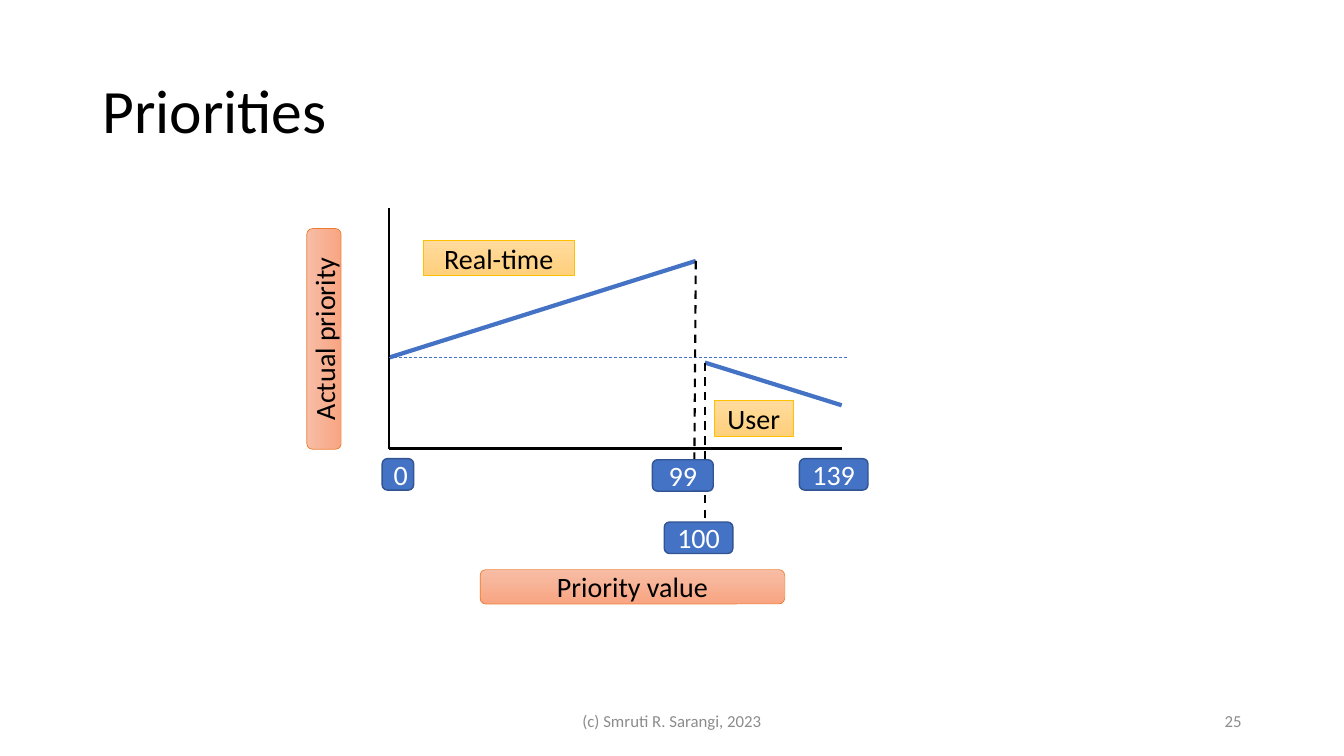
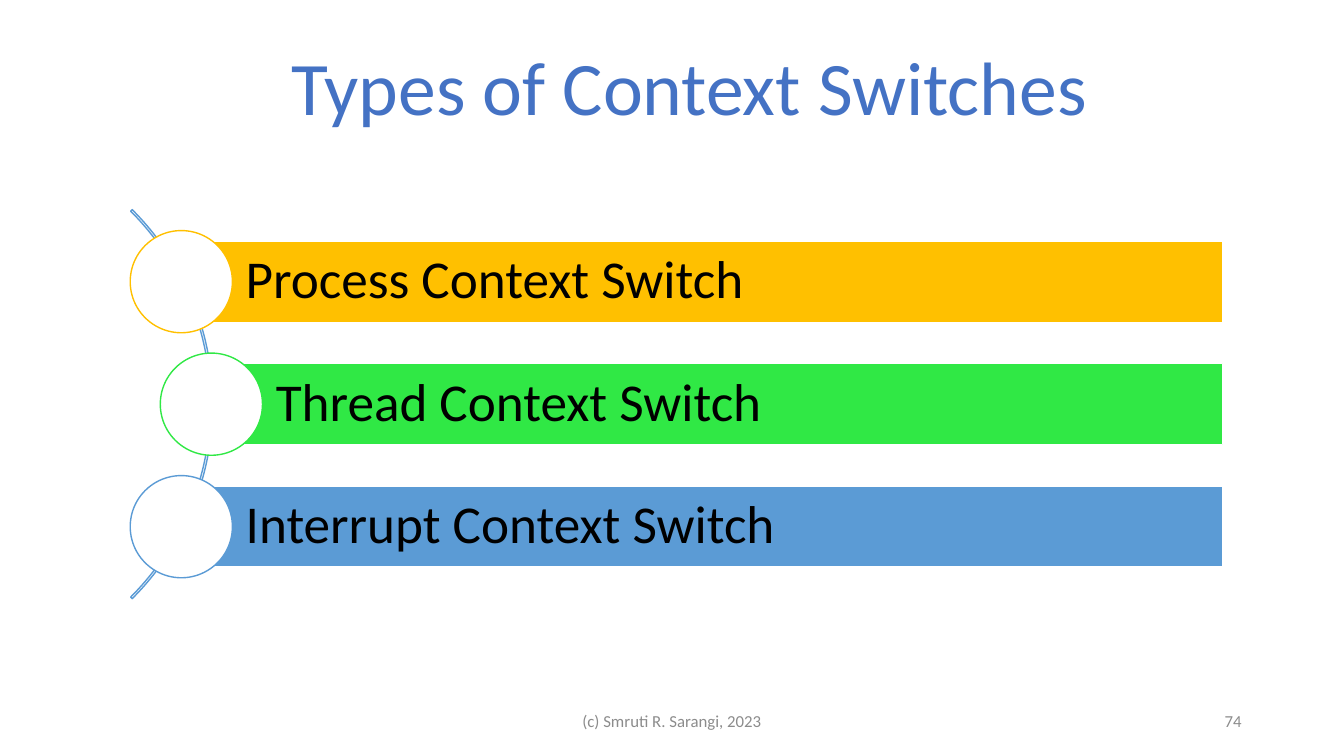
from lxml import etree
from pptx import Presentation
from pptx.dml.color import RGBColor
from pptx.enum import dml, shapes, text
from pptx.oxml import ns
from pptx.util import Pt

INK = {
    "black": "000000", "white": "FFFFFF", "gray": "8C8C8C",
    "blue": "4472C4", "navy": "325491", "sky": "5B9BD5",
    "gold": "FFC000", "green": "30E845", "orange": "ED7D31",
    "sand": "FFDB9E", "amber": "FFD07C",
    "peach": "F7BDA5", "coral": "F8A582",
}
FONT = "Calibri"
FOOTER = "(c) Smruti R. Sarangi, 2023"
SHAPE = shapes.MSO_SHAPE
LEFT, CENTER, RIGHT = (text.PP_ALIGN.LEFT, text.PP_ALIGN.CENTER,
                       text.PP_ALIGN.RIGHT)
LABELS = {
    "tick": (SHAPE.ROUNDED_RECTANGLE, ["blue"], "navy", 1, "white"),
    "class": (SHAPE.RECTANGLE, ["sand", "amber"], "gold", 0.5, "black"),
    "axis": (SHAPE.ROUNDED_RECTANGLE, ["peach", "coral"], "orange", 0.5,
             "black"),
}


def rgb(name):
    return RGBColor.from_string(INK[name])


def write(shape, words, size, color, align=LEFT, wrap=True, spacing=None):
    frame = shape.text_frame
    frame.word_wrap = wrap
    frame.vertical_anchor = text.MSO_ANCHOR.MIDDLE
    para = frame.paragraphs[0]
    para.text = words
    para.alignment = align
    para.line_spacing = spacing
    para.font.name = FONT
    para.font.size = Pt(size)
    para.font.color.rgb = rgb(color)


def add_text(slide, box, words, size, color, **style):
    shape = slide.shapes.add_textbox(*map(Pt, box))
    write(shape, words, size, color, **style)


def add_form(slide, kind, box, fills, edge, width):
    form = slide.shapes.add_shape(kind, *map(Pt, box))
    form.shadow.inherit = False
    if len(fills) > 1:
        form.fill.gradient()
        form.fill.gradient_angle = 270
        for stop, name in zip(form.fill.gradient_stops, fills):
            stop.color.rgb = rgb(name)
    elif fills:
        form.fill.solid()
        form.fill.fore_color.rgb = rgb(fills[0])
    else:
        form.fill.background()
    form.line.color.rgb = rgb(edge)
    form.line.width = Pt(width)
    return form


def add_line(slide, ends, color, width, dashed=False):
    line = slide.shapes.add_connector(
        shapes.MSO_CONNECTOR.STRAIGHT, *map(Pt, ends))
    line.line.color.rgb = rgb(color)
    line.line.width = Pt(width)
    if dashed:
        line.line.dash_style = dml.MSO_LINE.DASH
    etree.SubElement(line._element.spPr, ns.qn("a:effectLst"))


def add_label(slide, style, box, words, turn=0):
    kind, fills, edge, width, color = LABELS[style]
    label = add_form(slide, kind, box, fills, edge, width)
    label.rotation = turn
    write(label, words, 20, color, align=CENTER)


def add_slide(deck, number):
    slide = deck.slides.add_slide(deck.slide_layouts[6])
    add_text(slide, (318, 500.4, 324, 28.8), FOOTER, 12, "gray", align=CENTER)
    add_text(slide, (678, 500.4, 216, 28.8), str(number), 12, "gray",
             align=RIGHT)
    return slide


def add_graph(slide, left, top, width, height):
    base = top + height
    mid = base - 65
    peak = top + 38
    last, first = left + 219, left + 225.5
    end = left + width
    start = mid + 3.6
    add_line(slide, (left, base, end, base), "black", 1.5)
    add_line(slide, (left, mid, last, peak), "blue", 3)
    add_line(slide, (left, base, left, top), "black", 1.5)
    add_line(slide, (left, mid, end + 5, mid), "blue", 0.5, True)
    add_line(slide, (first, start, end, start + 30.5), "blue", 3)
    add_line(slide, (first, start, first, base + 54.5), "black", 1.5, True)
    add_line(slide, (last, peak, last - 1, base + 8), "black", 1.5, True)
    ticks = [("0", -5, 7.2, 22.5), ("99", 188, 8, 43.5),
             ("100", 196.5, 52.5, 49), ("139", 293, 7.2, 49)]
    for words, x, y, w in ticks:
        add_label(slide, "tick", (left + x, base + y, w, 22.5), words)
    names = [("Real-time", 24.5, 23, 107.5), ("User", 232.5, 137.5, 56)]
    for words, x, y, w in names:
        add_label(slide, "class", (left + x, top + y, w, 25.5), words)
    add_label(slide, "axis", (left + 65, base + 86.5, 217.5, 24.5),
              "Priority value")
    add_label(slide, "axis", (left - 125.4, top + 81.4, 157.7, 24.5),
              "Actual priority", 270)


def add_list(slide, left, top, width, items):
    tall, step, ring = 58, 87.5, 73
    arc = 393
    center = top + tall / 2 + step
    curve = add_form(slide, SHAPE.BLOCK_ARC,
                     (left - 334, center - arc / 2, arc, arc), [], "sky", 1)
    for spot, value in enumerate((189, 27, 0.004)):
        curve.adjustments[spot] = value
    for row, (words, color, indent) in enumerate(items):
        x = left + ring / 2 + indent
        y = top + row * step
        bar = add_form(slide, SHAPE.RECTANGLE,
                       (x, y, left + width - x, tall), [color], "white", 1)
        write(bar, words, 38, "black", spacing=0.9)
        frame = bar.text_frame
        frame.margin_left = Pt(46)
        frame.margin_right = frame.margin_top = frame.margin_bottom = Pt(7.6)
        add_form(slide, SHAPE.OVAL,
                 (x - ring / 2, y + (tall - ring) / 2, ring, ring),
                 ["white"], color, 1)


def main():
    deck = Presentation()
    deck.slide_width, deck.slide_height = Pt(960), Pt(540)

    slide = add_slide(deck, 25)
    add_text(slide, (66, 28.8, 828, 104.4), "Priorities", 44, "black",
             spacing=0.9)
    add_graph(slide, 278, 148.4, 323.2, 172)

    slide = add_slide(deck, 74)
    add_list(slide, 93, 172.2, 780.5, [
        ("Process Context Switch", "gold", 0),
        ("Thread Context Switch", "green", 21.5),
        ("Interrupt Context Switch", "sky", 0),
    ])
    add_text(slide, (188.6, 24.5, 607.7, 72.7), "Types of Context Switches",
             54, "blue", align=CENTER, wrap=False)
    deck.save("out.pptx")


if __name__ == "__main__":
    main()
